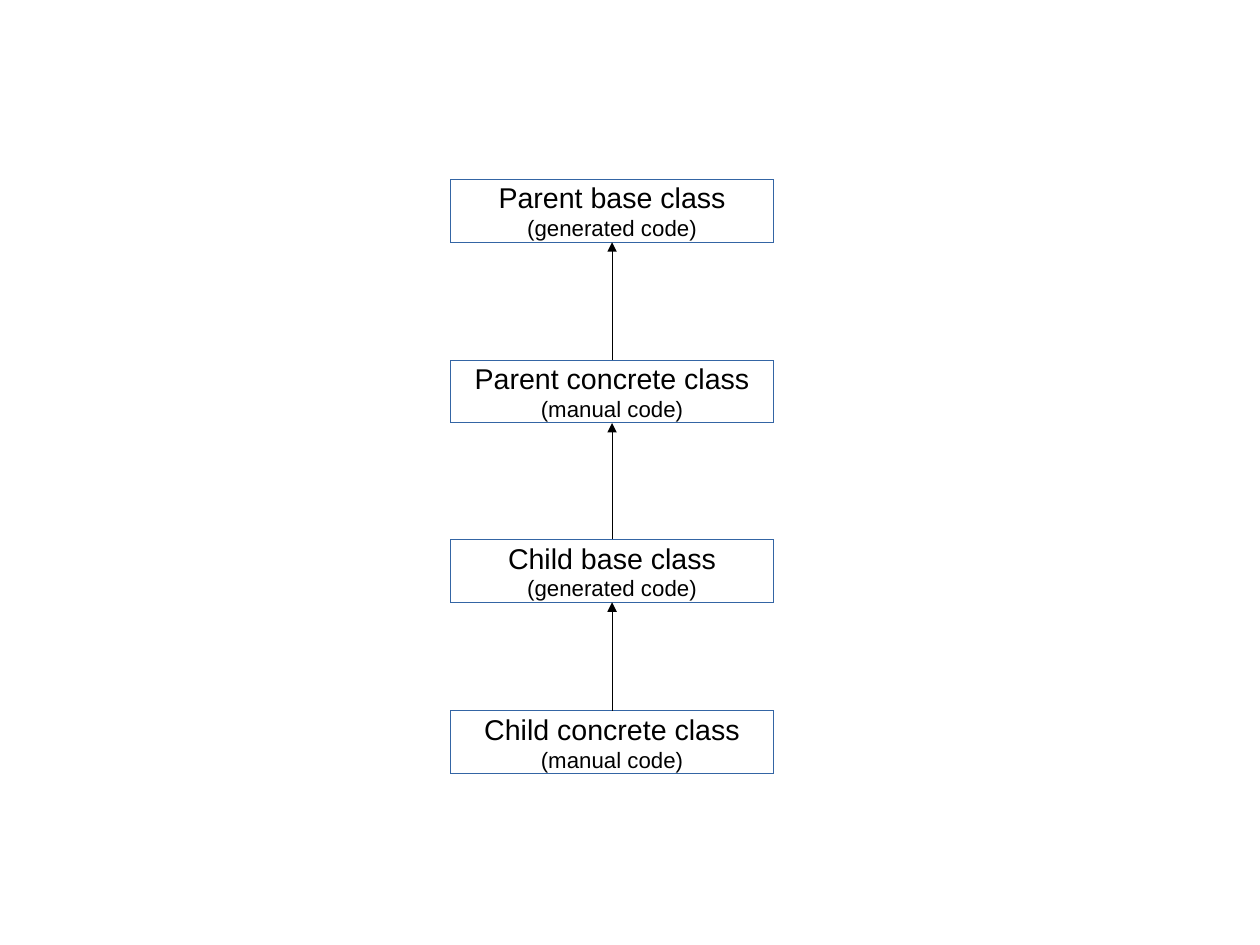
from pptx import Presentation
from pptx.dml.color import RGBColor
from pptx.enum.shapes import MSO_CONNECTOR, MSO_SHAPE
from pptx.enum.text import MSO_ANCHOR, PP_ALIGN
from pptx.oxml.ns import qn
from pptx.util import Cm, Inches, Pt
from lxml.etree import SubElement

BLACK = RGBColor(0x00, 0x00, 0x00)
WHITE = RGBColor(0xFF, 0xFF, 0xFF)
BLUE = RGBColor(0x34, 0x65, 0xA4)

BLANK_LAYOUT = 6
TOP, BOTTOM = 0, 2
BOX_HEIGHT = 0.55

# Class name, kind of code, top offset within the hierarchy
CLASSES = [
    ("Parent base class", "(generated code)", 0),
    ("Parent concrete class", "(manual code)", 1.58),
    ("Child base class", "(generated code)", 3.15),
    ("Child concrete class", "(manual code)", 4.65),
]


def set_hairline(line, color):
    """Write the zero width out, since python-pptx omits it as a default."""
    line.color.rgb = color
    outline = line._get_or_add_ln()
    outline.set("w", "0")
    return outline


def add_class_box(slide, left, top, width, name, code_kind):
    box = slide.shapes.add_shape(
        MSO_SHAPE.RECTANGLE,
        Inches(left), Inches(top), Inches(width), Inches(BOX_HEIGHT))
    box.shadow.inherit = False
    box.fill.solid()
    box.fill.fore_color.rgb = WHITE
    set_hairline(box.line, BLUE)

    frame = box.text_frame
    frame.word_wrap = False
    frame.vertical_anchor = MSO_ANCHOR.MIDDLE
    for index, (text, size) in enumerate([(name, 18), (code_kind, 14)]):
        paragraph = frame.add_paragraph() if index else frame.paragraphs[0]
        paragraph.text = text
        paragraph.alignment = PP_ALIGN.CENTER
        paragraph.font.name = "Arial"
        paragraph.font.size = Pt(size)
        paragraph.font.color.rgb = BLACK
    return box


def add_inheritance_arrow(slide, child, parent):
    arrow = slide.shapes.add_connector(MSO_CONNECTOR.STRAIGHT, 0, 0, 0, 0)
    arrow.begin_connect(child, TOP)
    arrow.end_connect(parent, BOTTOM)
    outline = set_hairline(arrow.line, BLACK)
    SubElement(outline, qn("a:tailEnd"), type="triangle")
    SubElement(arrow._element.spPr, qn("a:effectLst"))


def add_class_hierarchy(slide, left, top, width):
    parent = None
    for name, code_kind, offset in CLASSES:
        box = add_class_box(slide, left, top + offset, width, name, code_kind)
        if parent is not None:
            add_inheritance_arrow(slide, box, parent)
        parent = box


def main():
    presentation = Presentation()
    presentation.slide_width = Cm(28)
    presentation.slide_height = Cm(21)
    slide = presentation.slides.add_slide(
        presentation.slide_layouts[BLANK_LAYOUT])
    add_class_hierarchy(slide, left=3.94, top=1.57, width=2.83)
    presentation.save("out.pptx")


if __name__ == "__main__":
    main()
